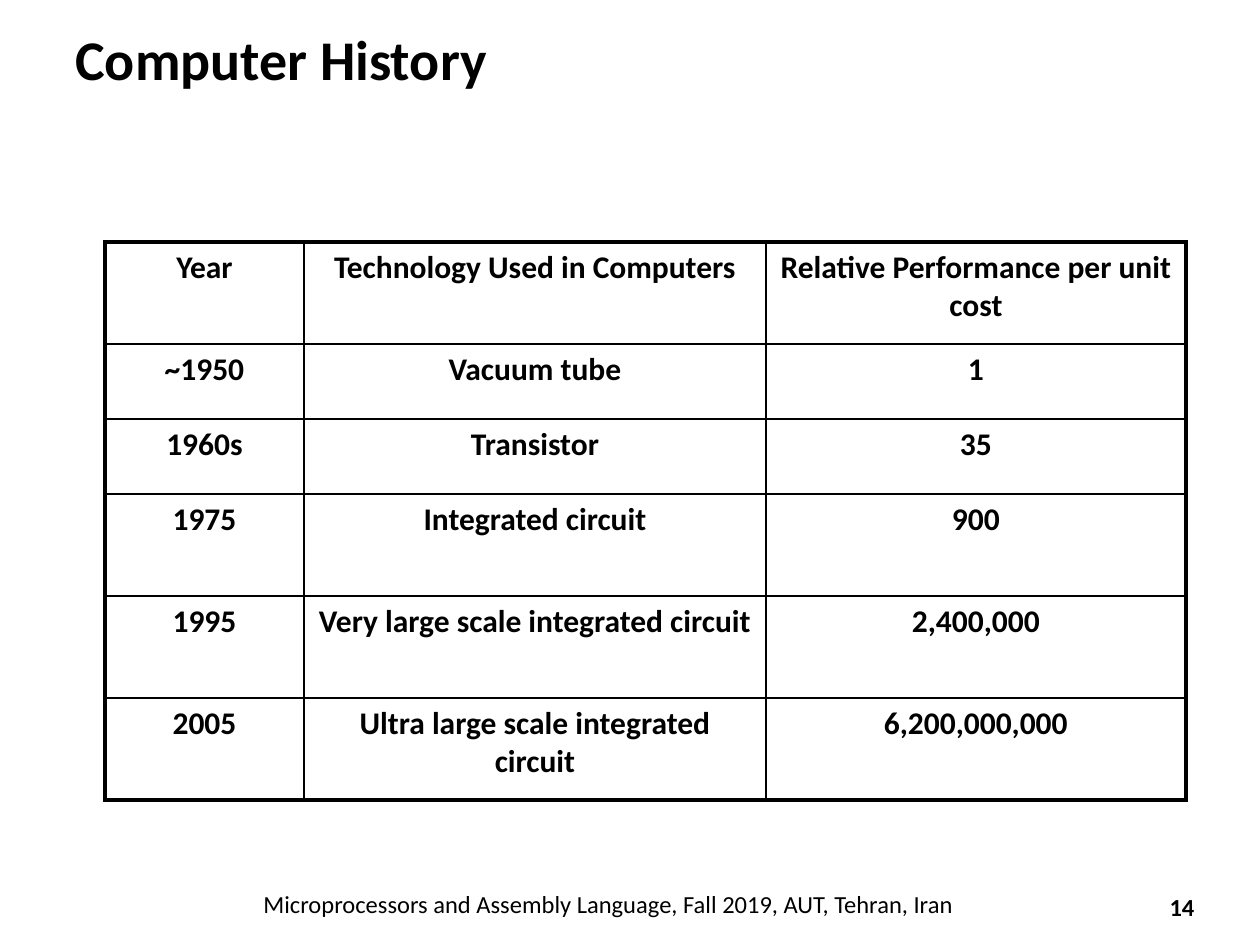
from pptx import Presentation, util as u
from pptx.dml.color import RGBColor
from pptx.enum import text
from pptx.oxml import parse_xml
from pptx.oxml.ns import nsdecls

BLACK = RGBColor(0, 0, 0)
FONT = "Calibri"
THICK, THIN = 2.25, 1  # rule widths in points
ROWS = [
    ("Year", "Technology Used in Computers", "Relative Performance per unit cost"),
    ("~1950", "Vacuum tube", "1"),
    ("1960s", "Transistor", "35"),
    ("1975", "Integrated circuit", "900"),
    ("1995", "Very large scale integrated circuit", "2,400,000"),
    ("2005", "Ultra large scale integrated circuit", "6,200,000,000"),
]
COL_WIDTHS = (199, 462, 420)
ROW_HEIGHTS = (102, 75, 75, 102, 102, 102)


def px(n):
    return u.Emu(round(n * 914400 / 126))


def write(tf, words, size=18, bold=True, align=text.PP_ALIGN.CENTER):
    p = tf.paragraphs[0]
    p.alignment = align
    r = p.add_run()
    r.text = words
    r.font.name = FONT
    r.font.size = u.Pt(size)
    r.font.bold = bold
    r.font.color.rgb = BLACK


def add_text(s, box, words, anchor=text.MSO_ANCHOR.MIDDLE, inset=None, **fmt):
    tf = s.shapes.add_textbox(*map(px, box)).text_frame
    tf.word_wrap = True
    tf.vertical_anchor = anchor
    if inset is not None:
        tf.margin_left = tf.margin_right = tf.margin_top = tf.margin_bottom = px(inset)
    write(tf, words, **fmt)


def set_borders(cell, left, right, top, bottom):
    sides = zip("LRTB", (left, right, top, bottom))
    for side, width in sides:
        cell._tc.get_or_add_tcPr().append(parse_xml(
            f'<a:ln{side} {nsdecls("a")} w="{u.Pt(width)}"><a:solidFill>'
            f'<a:srgbClr val="{BLACK}"/></a:solidFill></a:ln{side}>'))


def add_history_table(s, x, y):
    box = (x, y, sum(COL_WIDTHS), sum(ROW_HEIGHTS))
    n_rows, n_cols = len(ROWS), len(COL_WIDTHS)
    table = s.shapes.add_table(n_rows, n_cols, *map(px, box)).table
    table.first_row = table.horz_banding = False
    for col, width in zip(table.columns, COL_WIDTHS):
        col.width = px(width)
    for i, (row, height) in enumerate(zip(table.rows, ROW_HEIGHTS)):
        row.height = px(height)
        for j, cell in enumerate(row.cells):
            # Thick rules on the outside, thin ones inside
            edges = (j == 0, j == n_cols - 1, i == 0, i == n_rows - 1)
            set_borders(cell, *(THICK if edge else THIN for edge in edges))
            cell.fill.background()
            write(cell.text_frame, ROWS[i][j])


def add_footer(s, y):
    add_text(s, (136, y + 1, 945, 43), size=14, bold=False,
             words="Microprocessors and Assembly Language, Fall 2019, AUT, Tehran, Iran",
             anchor=text.MSO_ANCHOR.TOP)
    add_text(s, (1145, y, 74, 50), "14", inset=0, size=14)


def main():
    prs = Presentation()
    prs.slide_width, prs.slide_height = px(1260), px(945)
    s = prs.slides.add_slide(prs.slide_layouts[6])

    # Title
    add_text(s, (63, 0, 1134, 116), "Computer History", size=32,
             align=text.PP_ALIGN.LEFT)
    # Body
    add_history_table(s, 105, 242)
    # Footer and page number
    add_footer(s, 882)

    prs.save("out.pptx")


if __name__ == "__main__":
    main()
